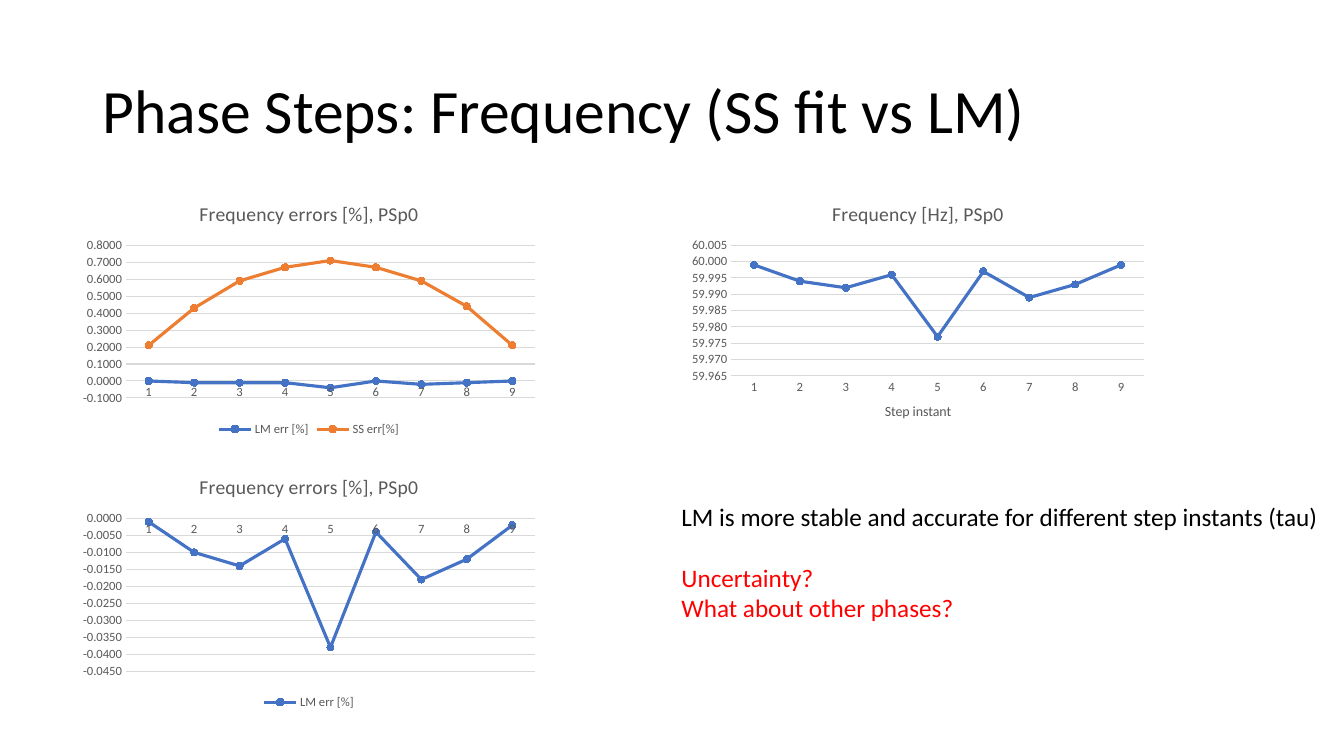
from dataclasses import dataclass

from pptx import Presentation
from pptx.chart.data import CategoryChartData
from pptx.dml.color import RGBColor
from pptx.enum.chart import XL_CHART_TYPE as ChartType
from pptx.enum.chart import XL_LEGEND_POSITION as LegendPosition
from pptx.enum.chart import XL_MARKER_STYLE as MarkerStyle
from pptx.enum.chart import XL_TICK_MARK as TickMark
from pptx.enum.text import MSO_ANCHOR as Anchor
from pptx.enum.text import MSO_AUTO_SIZE as AutoSize
from pptx.util import Inches, Pt


@dataclass(frozen=True)
class Theme:
    font: str = "Calibri"
    ink: str = "000000"
    alert: str = "FF0000"
    muted: str = "595959"
    grid: str = "D9D9D9"
    series: tuple = ("4472C4", "ED7D31")
    title_size: float = 44
    body_size: float = 18
    chart_title_size: float = 14
    axis_title_size: float = 10
    label_size: float = 9
    thin: float = 0.75
    thick: float = 2.25
    marker_size: int = 5


THEME = Theme()
WIDTH, HEIGHT = 13.33, 7.5

# Chart grid: two columns and two rows of equal cells
COLUMNS = (0.73, 6.77)
ROWS = (1.85, 4.56)
CELL = (4.67, 2.52)

STEPS = [str(step) for step in range(1, 10)]
LM_ERRORS = (-0.001, -0.01, -0.014, -0.006, -0.038, -0.004, -0.018, -0.012, -0.002)
LM_ERRORS_COARSE = (0, -0.01, -0.01, -0.01, -0.04, 0, -0.02, -0.01, 0)
SS_ERRORS = (0.21, 0.43, 0.59, 0.67, 0.71, 0.67, 0.59, 0.44, 0.21)
LM_FREQUENCIES = (59.999, 59.994, 59.992, 59.996, 59.977, 59.997, 59.989, 59.993, 59.999)


def cell_box(column, row):
    return (COLUMNS[column], ROWS[row], *CELL)


def style_font(font, size, color):
    font.name = THEME.font
    font.size = Pt(size)
    font.bold = False
    font.color.rgb = RGBColor.from_string(color)


def style_line(line, color, width):
    line.color.rgb = RGBColor.from_string(color)
    line.width = Pt(width)


def add_text(page, box, paragraphs, size):
    """Place a text box holding (text, colour) paragraphs; return its frame."""
    frame = page.shapes.add_textbox(*map(Inches, box)).text_frame
    frame.text = "\n".join(text for text, _ in paragraphs)
    for para, (_, color) in zip(frame.paragraphs, paragraphs):
        for span in para.runs:
            style_font(span.font, size, color)
    return frame


def add_title(page, box, text):
    frame = add_text(page, box, [(text, THEME.ink)], THEME.title_size)
    frame.word_wrap = True
    frame.vertical_anchor = Anchor.MIDDLE
    frame.paragraphs[0].line_spacing = 0.9


def add_remarks(page, box):
    frame = add_text(page, box, [
        ("LM is more stable and accurate for different step instants (tau)", THEME.ink),
        ("Uncertainty?", THEME.alert),
        ("What about other phases?", THEME.alert),
    ], THEME.body_size)
    frame.word_wrap = False
    frame.auto_size = AutoSize.SHAPE_TO_FIT_TEXT
    frame.paragraphs[1].space_before = Pt(22)


def set_heading(owner, text, size):
    """Give a chart or an axis its title."""
    owner.has_title = True
    heading = owner.chart_title if hasattr(owner, "chart_title") else owner.axis_title
    para = heading.text_frame.paragraphs[0]
    para.text = text
    style_font(para.runs[0].font, size, THEME.muted)


def style_axes(chart, scale, number_format):
    low, high, step = scale
    values, steps = chart.value_axis, chart.category_axis
    for axis in (values, steps):
        axis.major_tick_mark = axis.minor_tick_mark = TickMark.NONE
        style_font(axis.tick_labels.font, THEME.label_size, THEME.muted)
    style_line(steps.format.line, THEME.grid, THEME.thin)
    values.format.line.fill.background()
    values.has_major_gridlines = True
    style_line(values.major_gridlines.format.line, THEME.grid, THEME.thin)
    values.minimum_scale, values.maximum_scale, values.major_unit = low, high, step
    values.tick_labels.number_format = number_format
    values.tick_labels.number_format_is_linked = False


def add_line_chart(page, box, title, series, scale, number_format="0.0000",
                   legend=True, axis_title=None):
    data = CategoryChartData()
    data.categories = STEPS
    for name, values in series.items():
        data.add_series(name, values)
    chart = page.shapes.add_chart(ChartType.LINE_MARKERS, *map(Inches, box), data).chart
    style_font(chart.font, THEME.axis_title_size, THEME.ink)
    set_heading(chart, title, THEME.chart_title_size)
    chart.chart_title.include_in_layout = False
    style_axes(chart, scale, number_format)
    if axis_title:
        set_heading(chart.category_axis, axis_title, THEME.axis_title_size)

    # Legend
    chart.has_legend = legend
    if legend:
        chart.legend.position = LegendPosition.BOTTOM
        chart.legend.include_in_layout = False
        style_font(chart.legend.font, THEME.label_size, THEME.muted)

    # Lines and markers
    plot = chart.plots[0]
    plot.vary_by_categories = False
    for line, color in zip(plot.series, THEME.series):
        line.smooth = False
        style_line(line.format.line, color, THEME.thick)
        line.marker.style = MarkerStyle.CIRCLE
        line.marker.size = THEME.marker_size
        line.marker.format.fill.solid()
        line.marker.format.fill.fore_color.rgb = RGBColor.from_string(color)
        style_line(line.marker.format.line, color, THEME.thin)


def build_frequency_slide(deck):
    page = deck.slides.add_slide(deck.slide_layouts[6])
    add_title(page, (0.92, 0.4, 11.5, 1.45), "Phase Steps: Frequency (SS fit vs LM)")
    errors_title = "Frequency errors [%], PSp0"
    add_line_chart(page, cell_box(0, 0), errors_title,
                   {"LM err [%]": LM_ERRORS_COARSE, "SS err[%]": SS_ERRORS},
                   (-0.1, 0.8, 0.1))
    add_line_chart(page, cell_box(0, 1), errors_title,
                   {"LM err [%]": LM_ERRORS}, (-0.045, 0, 0.005))
    add_line_chart(page, cell_box(1, 0), "Frequency [Hz], PSp0",
                   {"Series 1": LM_FREQUENCIES}, (59.965, 60.005, 0.005),
                   number_format="0.000", legend=False, axis_title="Step instant")
    add_remarks(page, (6.66, 4.92, 6.59, 1.31))


def main():
    deck = Presentation()
    deck.slide_width, deck.slide_height = Inches(WIDTH), Inches(HEIGHT)
    build_frequency_slide(deck)
    deck.save("out.pptx")


if __name__ == "__main__":
    main()
